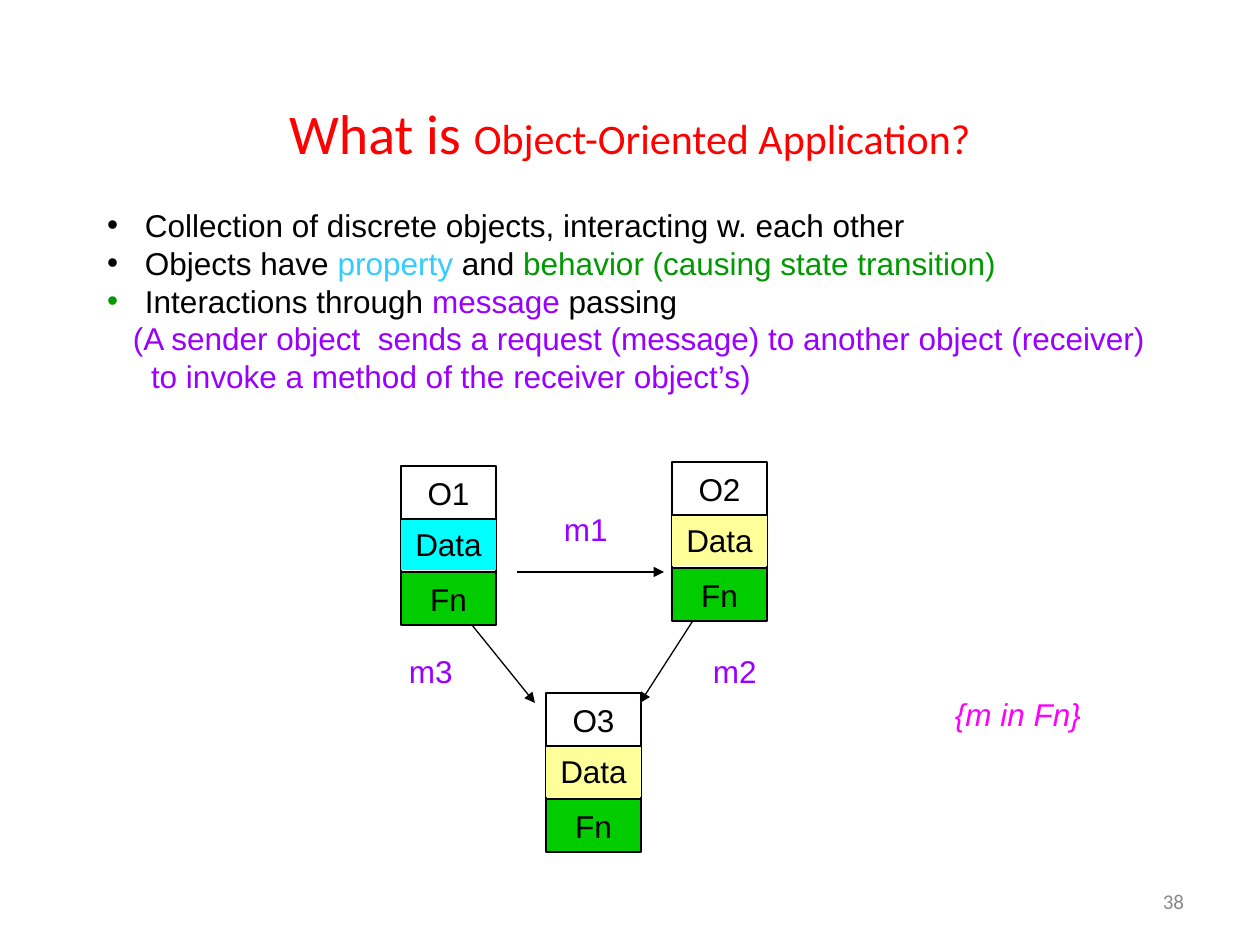
"""Build a slide on what an object-oriented application is."""
import lxml.etree
import pptx
import pptx.dml.color
import pptx.enum.shapes
import pptx.enum.text
import pptx.oxml.ns
import pptx.util

RGB = pptx.dml.color.RGBColor
BLACK = RGB(0x00, 0x00, 0x00)
RED = RGB(0xFF, 0x00, 0x00)
SKY = RGB(0x33, 0xCC, 0xFF)
LEAF = RGB(0x00, 0x99, 0x00)
VIOLET = RGB(0x99, 0x00, 0xFF)
PINK = RGB(0xFF, 0x00, 0xFF)
GREY = RGB(0x89, 0x89, 0x89)
GREEN = RGB(0x00, 0xCC, 0x00)
CYAN = RGB(0x00, 0xFF, 0xFF)
YELLOW = RGB(0xFF, 0xFF, 0x99)

ALIGN = pptx.enum.text.PP_ALIGN
ANCHOR = pptx.enum.text.MSO_ANCHOR
SCALE = 914400 / 126
WIDE, HIGH, DEEP = 95, 53, 51


def px(*sizes):
    """Turn pixel lengths into EMU."""
    return [pptx.util.Emu(round(size * SCALE)) for size in sizes]


def add_tag(parent, tag, **attrs):
    """Append one drawing element."""
    return lxml.etree.SubElement(parent, pptx.oxml.ns.qn(tag), attrs)


def add_runs(par, runs):
    """Append (text, format) runs to a paragraph."""
    for text, extra in runs:
        run = par.add_run()
        run.text = text
        form = {"name": "Arial", "size": 18, "color": BLACK, **extra}
        run.font.color.rgb = form.pop("color")
        form["size"] = pptx.util.Pt(form["size"])
        for key, value in form.items():
            setattr(run.font, key, value)


def set_frame(shape, wrap=True, anchor=ANCHOR.TOP, top=6):
    """Set wrap, anchor and insets of a text frame."""
    side, edge, upper = px(13, 6, top)
    form = {"word_wrap": wrap, "vertical_anchor": anchor,
            "margin_left": side, "margin_right": side,
            "margin_top": upper, "margin_bottom": edge}
    for key, value in form.items():
        setattr(shape.text_frame, key, value)
    return shape.text_frame


def add_text(shapes, box, runs, align=ALIGN.LEFT, **frame):
    """Add a text box with one paragraph."""
    par = set_frame(shapes.add_textbox(*px(*box)), **frame).paragraphs[0]
    par.alignment = align
    add_runs(par, runs)


def set_indent(par, left, dot=None):
    """Indent a paragraph, with a hanging bullet if a dot colour is given."""
    props = par._p.get_or_add_pPr()
    gap = px(left)[0]
    props.set("marL", str(gap))
    props.set("indent", str(-gap if dot is not None else 0))
    if dot is not None:
        add_tag(add_tag(props, "a:buClr"), "a:srgbClr", val=str(dot))
        add_tag(props, "a:buFont", typeface="Arial")
        add_tag(props, "a:buChar", char="•")


def add_list(shapes, box, items):
    """Add a text box of indented paragraphs."""
    frame = set_frame(shapes.add_textbox(*px(*box)))
    for num, (left, dot, runs) in enumerate(items):
        par = frame.add_paragraph() if num else frame.paragraphs[0]
        set_indent(par, left, dot)
        add_runs(par, runs)


def add_arrow(shapes, start, end):
    """Add a straight arrow."""
    kind = pptx.enum.shapes.MSO_CONNECTOR.STRAIGHT
    arrow = shapes.add_connector(kind, *px(*start, *end))
    arrow.line.color.rgb = BLACK
    arrow.line.width = pptx.util.Pt(0.75)
    add_tag(arrow.line._get_or_add_ln(), "a:tailEnd", type="triangle")
    add_tag(arrow._element.spPr, "a:effectLst")


def add_rect(shapes, box, text="", fill=None, line=True, **frame):
    """Add a rectangle with centred text."""
    kind = pptx.enum.shapes.MSO_SHAPE.RECTANGLE
    rect = shapes.add_shape(kind, *px(*box))
    rect.shadow.inherit = False
    if fill is None:
        rect.fill.background()
    else:
        rect.fill.solid()
        rect.fill.fore_color.rgb = fill
    if line:
        rect.line.color.rgb = BLACK
        rect.line.width = pptx.util.Pt(0.75)
    else:
        rect.line.fill.background()
    if text:
        par = set_frame(rect, **frame).paragraphs[0]
        par.alignment = ALIGN.CENTER
        add_runs(par, [(text, {})])


def add_object(shapes, left, top, name, fill):
    """Add an object as a stack of name, data and function."""
    group = shapes.add_group_shape().shapes
    rows = [(left, top + HIGH * row, WIDE, HIGH) for row in range(3)]
    middle = {"wrap": False, "anchor": ANCHOR.MIDDLE}
    add_rect(group, rows[2], "Fn", GREEN, **middle)
    add_rect(group, rows[1])
    add_rect(group, (*rows[1][:3], DEEP), "Data", fill, line=False)
    add_rect(group, rows[0], name, **middle)


def main():
    """Build and save the slide."""
    deck = pptx.Presentation()
    deck.slide_width, deck.slide_height = px(1260, 945)
    shapes = deck.slides.add_slide(deck.slide_layouts[6]).shapes

    title = {"name": "Calibri", "color": RED}
    add_text(shapes, (63, 38, 1134, 157),
             [("What is ", {**title, "size": 32}),
              ("Object-Oriented Application?", {**title, "size": 24})],
             ALIGN.CENTER, anchor=ANCHOR.MIDDLE, top=37)

    violet = {"color": VIOLET}
    add_list(shapes, (94, 200, 1150, 315), [
        (38, BLACK, [("Collection of discrete objects, "
                      "interacting w. each other", {})]),
        (38, BLACK, [("Objects have ", {}), ("property", {"color": SKY}),
                     (" and ", {}),
                     ("behavior (causing state transition)",
                      {"color": LEAF})]),
        (38, LEAF, [("Interactions through ", {}), ("message", violet),
                    (" passing", {})]),
        (26, None, [("(A sender object  sends a request (message) "
                     "to another object (receiver)", violet)]),
        (44, None, [("to invoke a method of the receiver object’s)",
                     violet)]),
    ])

    for start, end in (((517, 572), (664, 572)), ((451, 599), (535, 703)),
                       ((714, 588), (640, 703))):
        add_arrow(shapes, start, end)
    for left, top, name, fill in ((401, 466, "O1", CYAN),
                                  (672, 462, "O2", YELLOW),
                                  (546, 693, "O3", YELLOW)):
        add_object(shapes, left, top, name, fill)
    for left, top, name in ((551, 504, "m1"), (700, 646, "m2"),
                            (396, 646, "m3")):
        add_text(shapes, (left, top, 76, DEEP), [(name, violet)])

    add_text(shapes, (942, 689, 164, DEEP),
             [("{m in Fn}", {"color": PINK, "italic": True})])
    add_text(shapes, (903, 876, 294, DEEP),
             [("38", {"name": "Calibri", "size": 12, "color": GREY})],
             ALIGN.RIGHT, anchor=ANCHOR.MIDDLE)
    deck.save("out.pptx")


if __name__ == "__main__":
    main()
